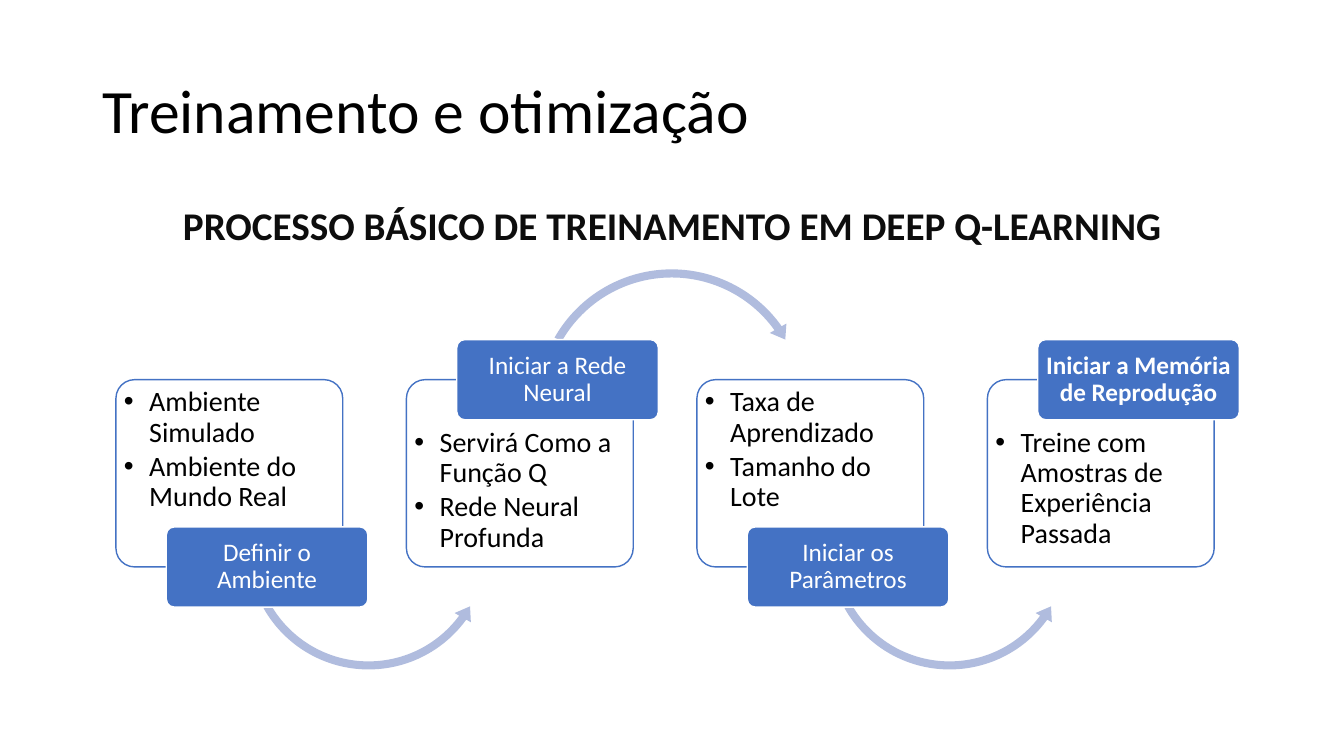
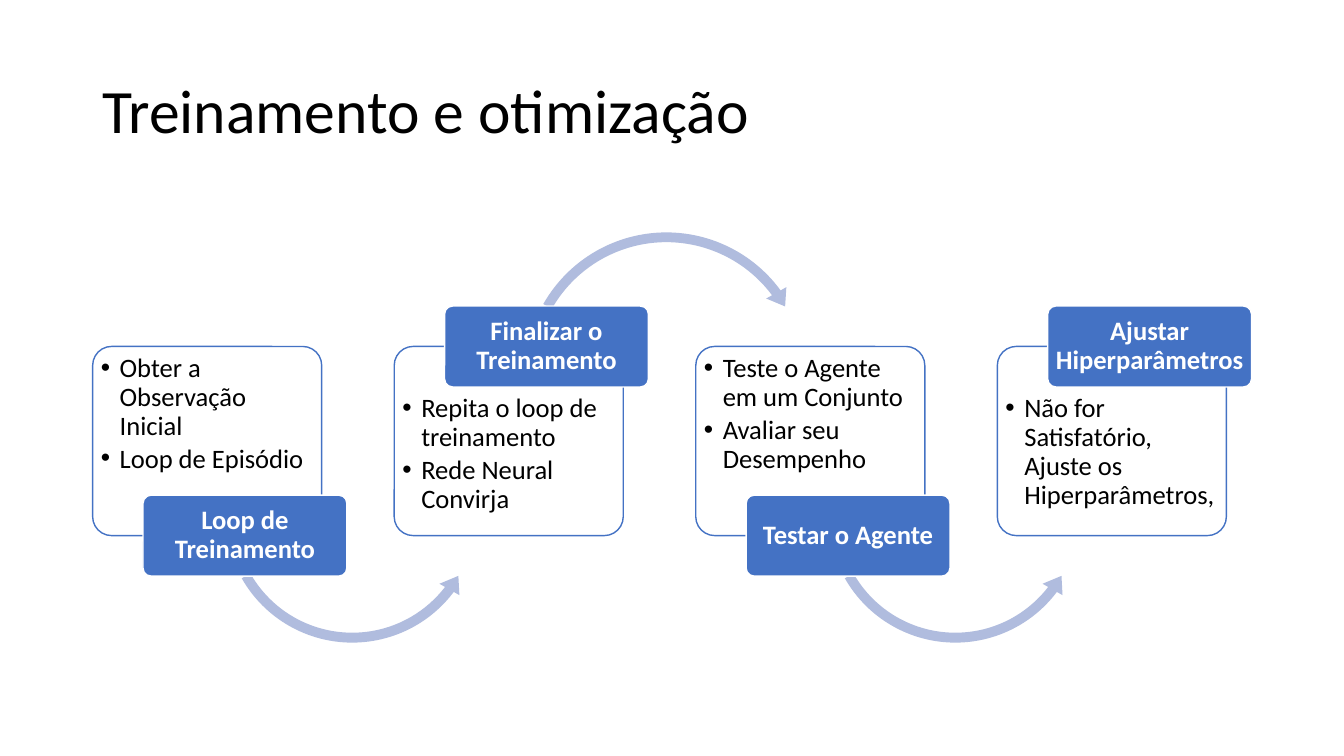
from pptx import Presentation
from pptx.dml.color import RGBColor
from pptx.enum.shapes import MSO_SHAPE as Kind
from pptx.enum.text import MSO_ANCHOR as Anchor, PP_ALIGN as Align
from pptx.oxml.ns import qn
from pptx.util import Pt
from lxml.etree import SubElement

# Shared look
FONT = "Calibri"
BLUE, PALE, WHITE, BLACK, INK = "4472C4", "B0BCDE", "FFFFFF", "000000", "0D0D0D"
TITLE = "Treinamento e otimização"
TITLE_BOX = (66, 28.8, 828, 104.4)
HEAD_BOX = (66, 144, 828, 48)
SHIFT = 36  # label offset from its card
EDGE = 2.9  # gap from card to text box, and the text box's own inset
DROP = 28.8  # extra gap below a label on the top edge

# Arrow shape: thickness %, head angle, end angle, start angle, head width %
# Arrow place: centre from the card's corner, then side length
FIRST = dict(
    left=82.8, top=271.2, pitch=207.5, card=(162, 133.8), label=(144, 57.3),
    size=20, small=18, indent=18,
    low=((3.2, 6.6, 36.19, 150.41, 3.7), (180.5, 120.8, 180)),
    high=((2.9, 5.87, 324.54, 209.59, 3.4), (189.5, 17.4, 200.2)),
    steps=[
        ("Definir o Ambiente", False, ["Ambiente Simulado", "Ambiente do Mundo Real"]),
        ("Iniciar a Rede Neural", False, ["Servirá Como a Função Q", "Rede Neural Profunda"]),
        ("Iniciar os Parâmetros", False, ["Taxa de Aprendizado", "Tamanho do Lote"]),
        ("Iniciar a Memória de Reprodução", True,
         ["Treine com Amostras de Experiência Passada"]),
    ])
SECOND = dict(
    left=66.2, top=247.5, pitch=215.4, card=(163.6, 135.1), label=(145.6, 57.8),
    size=19, small=19, indent=13.5,
    low=((3.7, 7.62, 37.22, 150.41, 4.3), (185.4, 120.8, 190.8)),
    high=((3.3, 6.81, 323.6, 209.59, 3.9), (194.4, 19.6, 211.7)),
    steps=[
        ("Loop de Treinamento", True, ["Obter a Observação Inicial", "Loop de Episódio"]),
        ("Finalizar o Treinamento", True,
         ["Repita o loop de treinamento", "Rede Neural Convirja"]),
        ("Testar o Agente", True, ["Teste o Agente em um Conjunto", "Avaliar seu Desempenho"]),
        ("Ajustar Hiperparâmetros", True,
         ["Não for Satisfatório, Ajuste os Hiperparâmetros,"]),
    ])


def rgb(code):
    return RGBColor.from_string(code)


def apply(item, style):
    for name, value in style.items():
        setattr(item, name, value)


def write(shape, lines, color, font, para=None, frame=None):
    """Fill a shape with paragraphs of one style."""
    text = shape.text_frame
    apply(text, dict(word_wrap=True, vertical_anchor=Anchor.TOP) | (frame or {}))
    for i, line in enumerate(lines):
        par = text.add_paragraph() if i else text.paragraphs[0]
        apply(par, dict(line_spacing=0.9, alignment=Align.LEFT) | (para or {}))
        run = par.add_run()
        run.text = line
        apply(run.font, dict(name=FONT) | font)
        run.font.color.rgb = rgb(color)


def bullet(par, indent):
    props = par._p.get_or_add_pPr()
    props.set("marL", str(Pt(indent)))
    props.set("indent", str(-Pt(indent)))
    SubElement(props, qn("a:buFont")).set("typeface", "Arial")
    SubElement(props, qn("a:buChar")).set("char", "•")


def draw(slide, kind, box, fill, line=None, adjust=()):
    """Add a flat preset shape."""
    shape = slide.shapes.add_shape(kind, *map(Pt, box))
    shape.shadow.inherit = False
    shape.fill.solid()
    shape.fill.fore_color.rgb = rgb(fill)
    if line:
        shape.line.color.rgb = rgb(line)
        shape.line.width = Pt(1)
    else:
        shape.line.fill.background()
    for i, value in enumerate(adjust):
        shape.adjustments[i] = value
    return shape


def insets(side, ends):
    return dict(margin_left=Pt(side), margin_right=Pt(side),
                margin_top=Pt(ends), margin_bottom=Pt(ends))


def add_text(slide, box, lines, color, font, para=None, frame=None):
    shape = slide.shapes.add_textbox(*map(Pt, box))
    write(shape, lines, color, font, para, frame)
    return shape


def add_arrow(slide, x, y, high, form, place):
    thick, tip, end, start, head = form
    dx, dy, side = place
    kind = Kind.CIRCULAR_ARROW if high else Kind.LEFT_CIRCULAR_ARROW
    # Angles are stored in 60000ths of a degree, adjustments in 100000ths
    turns = [angle * 0.6 for angle in (tip, end, start)]
    box = (x + dx - side / 2, y + dy - side / 2, side, side)
    draw(slide, kind, box, PALE, adjust=[thick / 100, *turns, head / 100])


def add_step(slide, x, y, flow, high, last, step):
    """One card with its arrow and its label on the top or bottom edge."""
    name, bold, items = step
    wide, tall = flow["card"]
    # Card, with its bullets in the part the label leaves free
    draw(slide, Kind.ROUNDED_RECTANGLE, (x, y, wide, tall), WHITE, BLUE, [0.1])
    area = (x + EDGE, y + EDGE + (DROP if high else 0),
            wide - 2 * EDGE, tall - 2 * EDGE - DROP)
    notes = add_text(slide, area, items, BLACK, dict(size=Pt(flow["size"])),
                     dict(space_after=Pt(3)), insets(EDGE, EDGE))
    for par in notes.text_frame.paragraphs:
        bullet(par, flow["indent"])
    # Arrow to the next card
    if not last:
        add_arrow(slide, x, y, high, *flow["high" if high else "low"])
    # Label centred on the edge
    w, h = flow["label"]
    edge = y if high else y + tall
    label = draw(slide, Kind.ROUNDED_RECTANGLE, (x + SHIFT, edge - h / 2, w, h),
                 BLUE, WHITE, [0.1])
    write(label, [name], WHITE, dict(size=Pt(flow["small"]), bold=bold),
          dict(alignment=Align.CENTER),
          dict(vertical_anchor=Anchor.MIDDLE) | insets(2.7, 2))


def add_flow(slide, flow):
    steps = flow["steps"]
    for i, step in enumerate(steps):
        add_step(slide, flow["left"] + i * flow["pitch"], flow["top"], flow,
                 i % 2 == 1, i == len(steps) - 1, step)


def add_slide(deck, flow, head=None):
    slide = deck.slides.add_slide(deck.slide_layouts[6])
    add_text(slide, TITLE_BOX, [TITLE], BLACK, dict(size=Pt(44)),
             frame=dict(vertical_anchor=Anchor.MIDDLE))
    if head:
        add_text(slide, HEAD_BOX, [head], INK, dict(size=Pt(28), bold=True),
                 dict(alignment=Align.CENTER, space_before=Pt(10)))
    add_flow(slide, flow)


def main():
    deck = Presentation()
    apply(deck, dict(slide_width=Pt(960), slide_height=Pt(540)))
    add_slide(deck, FIRST, "PROCESSO BÁSICO DE TREINAMENTO EM DEEP Q-LEARNING")
    add_slide(deck, SECOND)
    deck.save("out.pptx")


if __name__ == "__main__":
    main()
